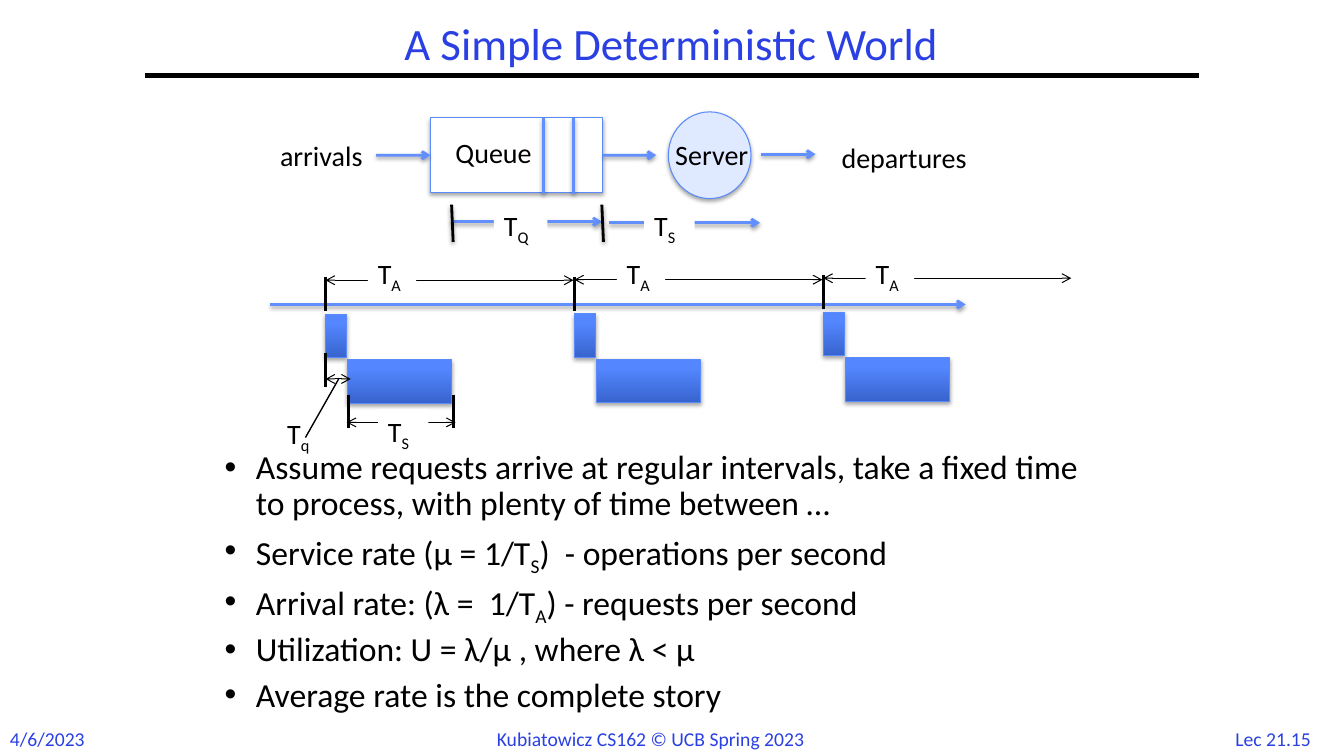
from lxml import etree
from pptx import Presentation
from pptx import util as u
from pptx.dml.color import RGBColor
from pptx.enum import shapes, text as t
from pptx.oxml.ns import qn

WIDTH, HEIGHT = u.Inches(13.33), u.Inches(7.5)
BLACK, WHITE, BLUE = "000000", "FFFFFF", "2A40E2"
ARROW_BLUE, EDGE_BLUE, PALE_BLUE = "618FFD", "5B8AFB", "DFE9FF"
GRADIENT = (("3764CE", 0), ("5487FF", 0.8))
LABEL_HEIGHT = 5.87
FLOW_ROW = 20.53
FIRST_ARRIVAL, PERIOD = 24.22, 18.52

BULLETS = (
    "Assume requests arrive at regular intervals, take a fixed time to process, "
    "with plenty of time between …",
    "Service rate (μ = 1/T_S)  - operations per second",
    "Arrival rate: (λ =  1/T_A) - requests per second",
    "Utilization: U = λ/μ , where λ < μ",
    "Average rate is the complete story",
)


def column(number):
    return round(WIDTH * number / 100)


def row(number):
    return round(HEIGHT * number / 100)


def place(left, top, width, height):
    return column(left), row(top), column(width), row(height)


def color(value):
    return RGBColor.from_string(value)


def add_shadow(effects, opacity):
    shadow = etree.SubElement(effects, qn("a:outerShdw"), blurRad=str(u.Pt(3.1)),
                              dist=str(u.Pt(1.6)), dir="5400000", rotWithShape="0")
    tint = etree.SubElement(shadow, qn("a:srgbClr"), val=BLACK)
    etree.SubElement(tint, qn("a:alpha"), val=str(opacity * 1000))


def write(paragraph, content, size=20, ink=BLACK, align=None, spacing=None,
          before=None, bullet=False):
    paragraph.alignment = align
    paragraph.line_spacing = spacing
    if before is not None:
        paragraph.space_before = u.Pt(before)
    if bullet:
        properties = paragraph._p.get_or_add_pPr()
        properties.set("marL", str(u.Inches(0.31)))
        properties.set("indent", str(-u.Inches(0.31)))
        etree.SubElement(properties, qn("a:buFont"), typeface="Arial")
        etree.SubElement(properties, qn("a:buChar"), char="•")
    first, *rest = content.split("_")
    pieces = [(first, False)]
    for part in rest:
        pieces += [(part[0], True), (part[1:], False)]
    for piece, lowered in pieces:
        if not piece:
            continue
        run = paragraph.add_run()
        run.text = piece
        run.font.name = "Calibri"
        run.font.size = u.Pt(size)
        run.font.color.rgb = color(ink)
        if lowered:
            run.font._element.set("baseline", "-25000")


def add_label(slide, content, left, top, width, height=LABEL_HEIGHT, fill=None, **style):
    box = slide.shapes.add_textbox(*place(left, top, width, height))
    if fill:
        box.fill.solid()
        box.fill.fore_color.rgb = color(fill)
    frame = box.text_frame
    frame.word_wrap = False
    frame.auto_size = t.MSO_AUTO_SIZE.SHAPE_TO_FIT_TEXT
    write(frame.paragraphs[0], content, **style)


def add_line(slide, start, end, ink=BLACK, width=2.0, heads=(), shadow=False):
    line = slide.shapes.add_connector(
        shapes.MSO_CONNECTOR.STRAIGHT,
        column(start[0]), row(start[1]), column(end[0]), row(end[1]))
    line.line.color.rgb = color(ink)
    line.line.width = u.Pt(width)
    for head in heads:
        etree.SubElement(line.line._get_or_add_ln(), qn("a:" + head), type="arrow")
    effects = etree.SubElement(line._element.spPr, qn("a:effectLst"))
    if shadow:
        add_shadow(effects, 38)
    return line


def add_flow_arrow(slide, start, end, level):
    return add_line(slide, (start, level), (end, level), ARROW_BLUE,
                    heads=("tailEnd",), shadow=True)


def add_span(slide, start, end, level):
    add_line(slide, (start, level), (end, level), width=0.75,
             heads=("headEnd", "tailEnd"))


def add_tick(slide, across, top, bottom, lean=0, shadow=False):
    add_line(slide, (across, top), (across + lean, bottom), shadow=shadow)


def add_block(slide, kind, left, top, width, height, fill=None):
    block = slide.shapes.add_shape(kind, *place(left, top, width, height))
    if fill:
        block.fill.solid()
        block.fill.fore_color.rgb = color(fill)
    else:
        block.fill.gradient()
        block.fill.gradient_angle = 90
        for stop, (value, position) in zip(block.fill.gradient_stops, GRADIENT):
            stop.color.rgb = color(value)
            stop.position = position
    block.line.color.rgb = color(EDGE_BLUE)
    block.line.width = u.Pt(0.75)
    block.shadow.inherit = False
    add_shadow(block._element.spPr.find(qn("a:effectLst")), 35)
    return block


def add_title(slide):
    title = slide.shapes.title
    title.left, title.top, title.width, title.height = place(10.8, 2.27, 78.3, 7.73)
    title.text_frame.vertical_anchor = t.MSO_ANCHOR.MIDDLE
    write(title.text_frame.paragraphs[0], "A Simple Deterministic World", size=32,
          ink=BLUE, align=t.PP_ALIGN.CENTER, spacing=0.9)
    add_line(slide, (10.8, 10), (89.18, 10), width=3)


def add_bullets(slide):
    frame = slide.shapes.add_textbox(*place(15.98, 58.93, 67.5, 41.07)).text_frame
    frame.word_wrap = True
    for index, content in enumerate(BULLETS):
        paragraph = frame.add_paragraph() if index else frame.paragraphs[0]
        write(paragraph, content, size=24, spacing=0.9,
              before=6.5 if index else 0, bullet=True)


def add_queue_system(slide):
    queue = add_block(slide, shapes.MSO_SHAPE.RECTANGLE, 32.03, 15.6, 12.83, 9.87, WHITE)
    for across in (40.43, 42.68):
        add_line(slide, (across, 15.6), (across, 25.6), ARROW_BLUE, shadow=True)
    add_block(slide, shapes.MSO_SHAPE.OVAL, 49.73, 14.8, 6.15, 11.47, PALE_BLUE)
    add_flow_arrow(slide, 27.98, 32.03, FLOW_ROW).end_connect(queue, 1)
    add_flow_arrow(slide, 44.86, 48.83, FLOW_ROW).begin_connect(queue, 3)
    add_flow_arrow(slide, 56.63, 60.68, 20.4)
    for content, left, top, width in (
            ("Queue", 33.15, 17.33, 7.8), ("Server", 49.5, 17.47, 7.73),
            ("arrivals", 20.1, 17.73, 8.33), ("departures", 61.88, 17.87, 11.55)):
        add_label(slide, content, left, top, width)
    for content, start, end, level, left, width in (
            ("T_Q", 33.6, 44.78, 29.33, 36.75, 3.98),
            ("T_S", 45.3, 56.55, 29.47, 47.93, 3.75)):
        add_flow_arrow(slide, start, end, level)
        add_label(slide, content, left, 26.93, width, fill=WHITE)
    for across in (33.6, 44.78):
        add_tick(slide, across, 27.07, 32, lean=0.12, shadow=True)


def add_arrival(slide, left, lift):
    rectangle = shapes.MSO_SHAPE.RECTANGLE
    add_block(slide, rectangle, left, 41.6 - lift, 1.58, 5.73)
    add_block(slide, rectangle, left + 1.65, 47.6 - lift, 7.73, 5.73)
    add_span(slide, left, left + 18.45, 37.07 - lift)
    add_label(slide, "T_A", left + 3.15, 33.33, 3.6, fill=WHITE)
    add_tick(slide, left, 36.67 - lift, 41.2 - lift)


def add_timeline(slide):
    add_flow_arrow(slide, 20.1, 71.85, 40.27)
    for index, lift in enumerate((0, 0.07, 0.27)):
        add_arrival(slide, FIRST_ARRIVAL + index * PERIOD, lift)
    add_span(slide, 25.8, 33.9, 55.87)
    for across in (25.95, 33.75):
        add_tick(slide, across, 52.2, 56.67)
    add_label(slide, "T_S", 28.13, 54.13, 3.75, fill=WHITE)
    add_tick(slide, FIRST_ARRIVAL, 46.67, 51.2)
    add_span(slide, FIRST_ARRIVAL, 26.1, 50.13)
    add_line(slide, (25.2, 50.13), (22.73, 57.87), width=1)
    add_label(slide, "T_q", 20.63, 54.4, 3.6)


def add_footer(slide):
    for content, left, width, align in (
            ("4/6/2023", 0, 7.2, None),
            ("Kubiatowicz CS162 © UCB Spring 2023", 36.23, 27.6, None),
            ("Lec 21.15", 90.68, 8.1, t.PP_ALIGN.CENTER)):
        add_label(slide, content, left, 95.47, width, 4.53, size=14, ink=BLUE, align=align)


def main():
    presentation = Presentation()
    presentation.slide_width, presentation.slide_height = WIDTH, HEIGHT
    slide = presentation.slides.add_slide(presentation.slide_layouts[5])
    add_footer(slide)
    add_title(slide)
    add_bullets(slide)
    add_queue_system(slide)
    add_timeline(slide)
    presentation.save("out.pptx")


if __name__ == "__main__":
    main()
